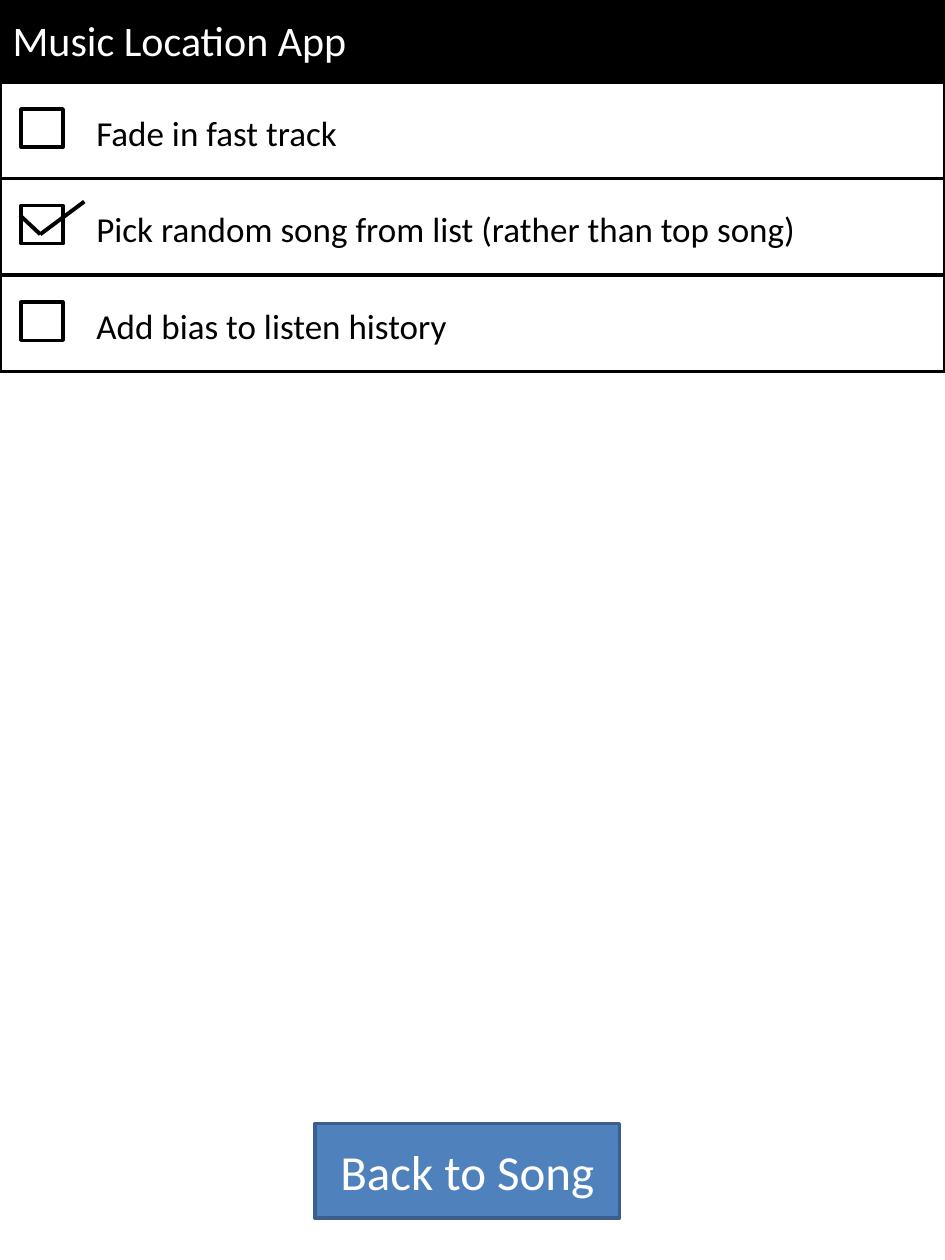
from dataclasses import dataclass

from lxml.etree import SubElement
from pptx import Presentation
from pptx.dml.color import RGBColor
from pptx.enum.shapes import MSO_CONNECTOR, MSO_SHAPE
from pptx.enum.text import MSO_ANCHOR, MSO_AUTO_SIZE, PP_ALIGN
from pptx.oxml.ns import qn
from pptx.util import Pt


@dataclass(frozen=True)
class Theme:
    font: str = "Calibri"
    ink: RGBColor = RGBColor(0x00, 0x00, 0x00)
    paper: RGBColor = RGBColor(0xFF, 0xFF, 0xFF)
    button: RGBColor = RGBColor(0x4F, 0x81, 0xBD)
    button_edge: RGBColor = RGBColor(0x3A, 0x5F, 0x8C)
    title_size: float = 24
    option_size: float = 20
    button_size: float = 28
    outline: float = 2
    tick: float = 2.25


THEME = Theme()
SLIDE_WIDTH, SLIDE_HEIGHT = 540, 720
HEADER_TOP, HEADER_HEIGHT = -1.2, 48
ROW_HEIGHT = 55.2
OPTIONS = [
    ("Fade in fast track", 153.4, False),
    ("Pick random song from list (rather than top song)", 417.6, True),
    ("Add bias to listen history", 216.7, False),
]


def write_text(shape, text, *, size, color, align=PP_ALIGN.LEFT,
               anchor=MSO_ANCHOR.MIDDLE, wrap=True, auto_size=MSO_AUTO_SIZE.NONE):
    frame = shape.text_frame
    frame.word_wrap = wrap
    frame.auto_size = auto_size
    frame.vertical_anchor = anchor
    paragraph = frame.paragraphs[0]
    paragraph.alignment = align
    run = paragraph.add_run()
    run.text = text
    run.font.name = THEME.font
    run.font.size = Pt(size)
    run.font.color.rgb = color


def style_box(shape, fill=None, line=THEME.ink):
    if fill is None:
        shape.fill.background()
    else:
        shape.fill.solid()
        shape.fill.fore_color.rgb = fill
    shape.line.color.rgb = line
    shape.line.width = Pt(THEME.outline)


def add_box(slide, left, top, width, height, **style):
    shape = slide.shapes.add_shape(
        MSO_SHAPE.RECTANGLE, Pt(left), Pt(top), Pt(width), Pt(height))
    shape.shadow.inherit = False
    style_box(shape, **style)
    return shape


def add_stroke(slide, start, end):
    stroke = slide.shapes.add_connector(
        MSO_CONNECTOR.STRAIGHT, Pt(start[0]), Pt(start[1]), Pt(end[0]), Pt(end[1]))
    stroke.line.color.rgb = THEME.ink
    stroke.line.width = Pt(THEME.tick)
    SubElement(stroke._element.spPr, qn("a:effectLst"))


def add_header(slide, left, top, width, height):
    title = slide.shapes.title
    title.left, title.top = Pt(left), Pt(top)
    title.width, title.height = Pt(width), Pt(height)
    style_box(title, fill=THEME.ink)
    write_text(title, "Music Location App", size=THEME.title_size, color=THEME.paper)


def add_tick(slide, left, top):
    """Draw a check mark whose left end is at (left, top)."""
    tip, corner, tail = (left + 36.7, top - 7.9), (left + 11.5, top + 10.8), (left, top)
    add_stroke(slide, tip, corner)
    add_stroke(slide, corner, tail)


def add_option(slide, left, top, width, height, text, text_width, checked):
    add_box(slide, left, top, width, height)
    add_box(slide, left + 12, top + 15.5, 24, 21.8)
    label = slide.shapes.add_textbox(
        Pt(left + 48), Pt(top + 13.2), Pt(text_width), Pt(31.5))
    write_text(label, text, size=THEME.option_size, color=THEME.ink,
               anchor=MSO_ANCHOR.TOP, wrap=False,
               auto_size=MSO_AUTO_SIZE.SHAPE_TO_FIT_TEXT)
    if checked:
        add_tick(slide, left + 11.5, top + 21.1)


def add_button(slide, left, top, width, height):
    button = add_box(slide, left, top, width, height,
                     fill=THEME.button, line=THEME.button_edge)
    write_text(button, "Back to Song", size=THEME.button_size,
               color=THEME.paper, align=PP_ALIGN.CENTER)


def main():
    presentation = Presentation()
    presentation.slide_width = Pt(SLIDE_WIDTH)
    presentation.slide_height = Pt(SLIDE_HEIGHT)
    title_only = presentation.slide_layouts.get_by_name("Title Only")
    slide = presentation.slides.add_slide(title_only)

    add_header(slide, 0, HEADER_TOP, SLIDE_WIDTH, HEADER_HEIGHT)
    rows_top = HEADER_TOP + HEADER_HEIGHT
    for index, option in enumerate(OPTIONS):
        add_option(slide, 0, rows_top + index * ROW_HEIGHT,
                   SLIDE_WIDTH, ROW_HEIGHT, *option)
    add_button(slide, 180, 642, 174, 54)

    presentation.save("out.pptx")


if __name__ == "__main__":
    main()
